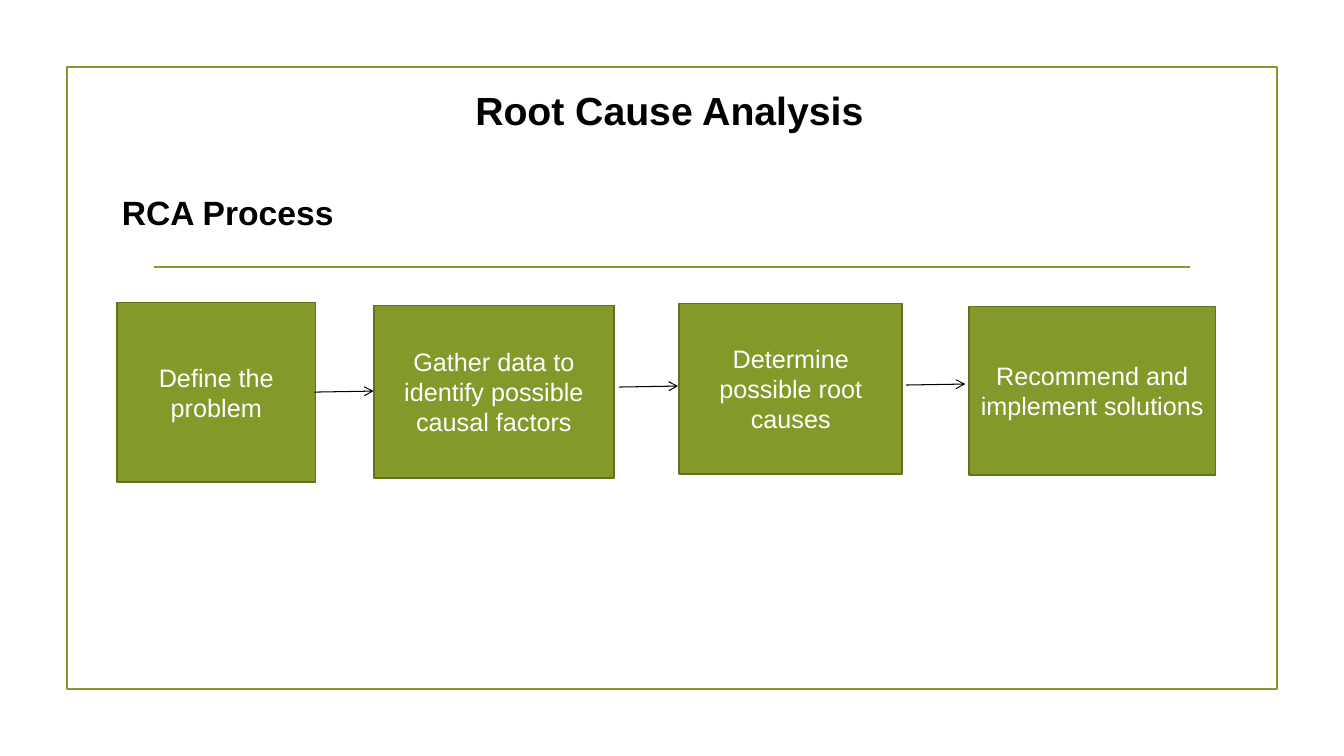
from dataclasses import dataclass

from lxml.etree import SubElement
from pptx import Presentation
from pptx.dml.color import RGBColor
from pptx.enum.shapes import MSO_CONNECTOR, MSO_SHAPE
from pptx.enum.text import MSO_ANCHOR, PP_ALIGN
from pptx.oxml.ns import qn
from pptx.util import Inches, Pt


@dataclass(frozen=True)
class Theme:
    font: str = "Arial"
    green: str = "83992A"
    edge: str = "61711F"
    ink: str = "000000"
    paper: str = "FFFFFF"
    title: int = 28
    head: int = 24
    body: int = 18
    rule: float = 1.25
    arrow: float = 0.75


@dataclass(frozen=True)
class Box:
    left: float
    top: float
    width: float
    height: float

    def inner(self, x, y, w, h):
        return Box(self.left + x, self.top + y, w, h)


THEME = Theme()
COLS, ROWS = 160, 90
STEPS = [
    ("Define the problem", 0, 0, 23.64, 21.36),
    ("Gather data to identify possible causal factors", 30.6, 0.36, 28.56, 20.52),
    ("Determine possible root causes", 66.96, 0.12, 26.52, 20.28),
    ("Recommend and implement solutions", 101.4, 0.48, 29.4, 20.04),
]
ARROWS = [(23.52, 10.68), (59.76, 10.08), (93.96, 9.84)]
REACH, RISE = 7.04, 0.12

deck = Presentation()
deck.slide_width, deck.slide_height = Inches(13.33), Inches(7.5)
slide = deck.slides.add_slide(deck.slide_layouts[6])


def col(n):
    return round(deck.slide_width * n / COLS)


def row(n):
    return round(deck.slide_height * n / ROWS)


def place(box):
    return col(box.left), row(box.top), col(box.width), row(box.height)


def write(shape, text, size, color, align, anchor, bold=False):
    frame = shape.text_frame
    frame.word_wrap = True
    frame.vertical_anchor = anchor
    para = frame.paragraphs[0]
    para.alignment = align
    run = para.add_run()
    run.text = text
    run.font.name = THEME.font
    run.font.size = Pt(size)
    run.font.bold = bold
    run.font.color.rgb = RGBColor.from_string(color)


def add_rect(box, edge, fill=None):
    rect = slide.shapes.add_shape(MSO_SHAPE.RECTANGLE, *place(box))
    rect.shadow.inherit = False
    if fill:
        rect.fill.solid()
        rect.fill.fore_color.rgb = RGBColor.from_string(fill)
    else:
        rect.fill.background()
    rect.line.color.rgb = RGBColor.from_string(edge)
    rect.line.width = Pt(THEME.rule)
    return rect


def add_line(box, color, width, head=False):
    line = slide.shapes.add_connector(
        MSO_CONNECTOR.STRAIGHT, col(box.left), row(box.top),
        col(box.left + box.width), row(box.top + box.height))
    line.line.color.rgb = RGBColor.from_string(color)
    line.line.width = Pt(width)
    if head:
        SubElement(line.line._get_or_add_ln(), qn("a:tailEnd"), type="arrow")
    SubElement(line._element.spPr, qn("a:effectLst"))


def draw_frame(box):
    add_rect(box, THEME.green)
    add_line(box.inner(10.36, 23.8, 123.36, 0), THEME.green, THEME.rule)


def draw_heads(box):
    title = slide.shapes.add_textbox(*place(box.inner(0.64, 1.96, 142.08, 6.12)))
    write(title, "Root Cause Analysis", THEME.title, THEME.ink,
          PP_ALIGN.CENTER, MSO_ANCHOR.MIDDLE, True)
    head = slide.shapes.add_textbox(*place(box.inner(5.32, 14.2, 130.68, 45.72)))
    write(head, "RCA Process", THEME.head, THEME.ink,
          PP_ALIGN.LEFT, MSO_ANCHOR.TOP, True)


def draw_flow(box):
    for text, *area in STEPS:
        step = add_rect(box.inner(*area), THEME.edge, THEME.green)
        write(step, text, THEME.body, THEME.paper,
              PP_ALIGN.CENTER, MSO_ANCHOR.MIDDLE)
    for x, y in ARROWS:
        add_line(box.inner(x, y, REACH, -RISE), THEME.ink, THEME.arrow, True)


def main():
    panel = Box(8, 8, 144, 74)
    draw_frame(panel)
    draw_heads(panel)
    draw_flow(panel.inner(5.92, 28, 130.8, 21.36))
    deck.save("out.pptx")


if __name__ == "__main__":
    main()
